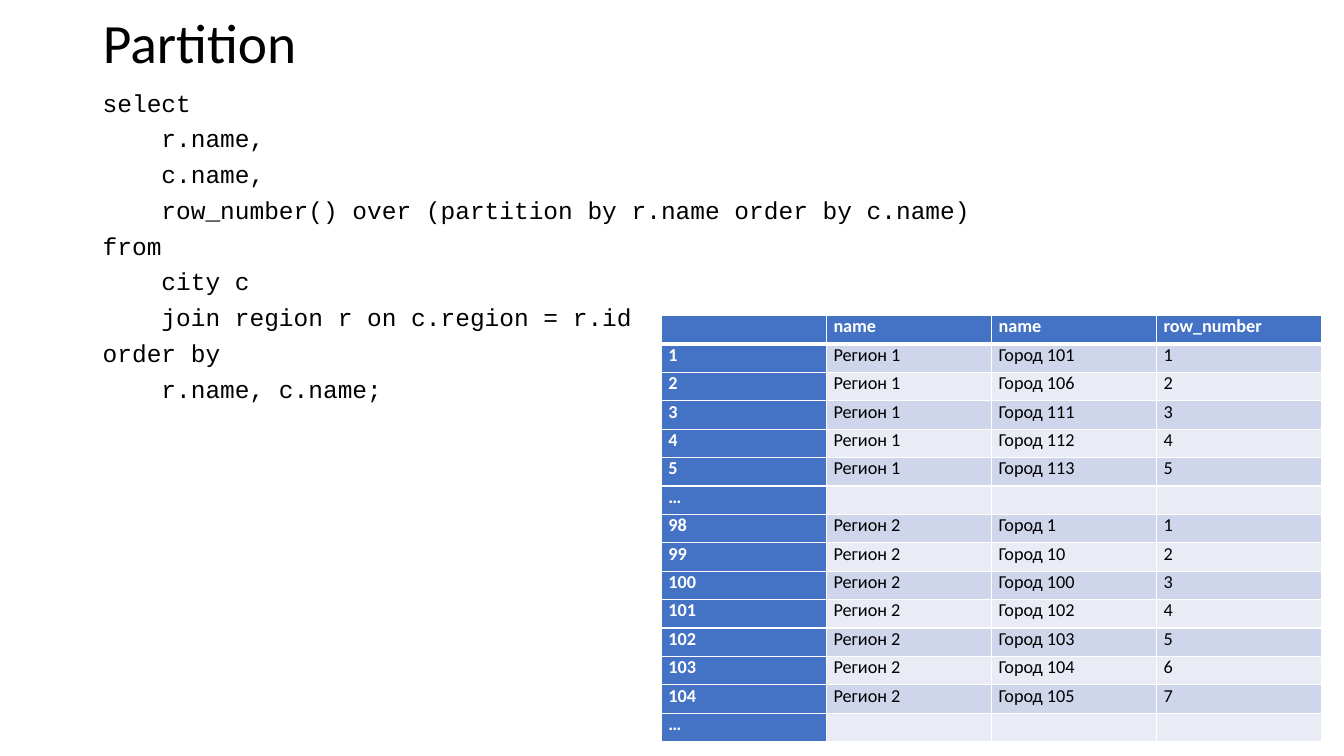
from dataclasses import dataclass

from lxml.etree import SubElement
from pptx import Presentation
from pptx.dml.color import RGBColor
from pptx.enum.text import MSO_ANCHOR, MSO_AUTO_SIZE, PP_ALIGN
from pptx.oxml.ns import qn
from pptx.util import Inches, Pt


@dataclass(frozen=True)
class Theme:
    """Hold the colours, fonts and type sizes of the slide."""

    ink: RGBColor = RGBColor.from_string("000000")
    paper: RGBColor = RGBColor.from_string("FFFFFF")
    accent: RGBColor = RGBColor.from_string("4472C4")
    odd_band: RGBColor = RGBColor.from_string("CFD5EA")
    even_band: RGBColor = RGBColor.from_string("E9EBF5")
    text_font: str = "Calibri"
    code_font: str = "Courier New"
    title_size: float = 39.6
    code_size: float = 17.5
    table_size: float = 13


QUERY = """select
    r.name,
    c.name,
    row_number() over (partition by r.name order by c.name)
from
    city c
    join region r on c.region = r.id
order by
    r.name, c.name;"""

REGIONS = [
    ("Регион 1", 1, [101, 106, 111, 112, 113]),
    ("Регион 2", 98, [1, 10, 100, 102, 103, 104, 105]),
]


def result_rows():
    """Return the query result, each region closed by an ellipsis row."""
    rows = [("", "name", "name", "row_number")]
    for region, first, cities in REGIONS:
        for place, city in enumerate(cities):
            rows.append((str(first + place), region, f"Город {city}", str(place + 1)))
        rows.append(("…", "", "", ""))
    return rows


class SlideBuilder:
    """Draw themed elements on the current slide."""

    def __init__(self, page, theme):
        self.page = page
        self.theme = theme

    def add_span(self, para, text, size, font, color, bold=False):
        """Add one formatted run to a paragraph."""
        span = para.add_run()
        span.text = text
        span.font.size = Pt(size)
        span.font.name = font
        span.font.color.rgb = color
        span.font.bold = bold

    def title(self, text, left, top, width, height):
        """Place and fill the title placeholder."""
        box = self.page.shapes.title
        box.left, box.top = Inches(left), Inches(top)
        box.width, box.height = Inches(width), Inches(height)
        frame = box.text_frame
        frame.auto_size = MSO_AUTO_SIZE.NONE
        frame.vertical_anchor = MSO_ANCHOR.MIDDLE
        para = frame.paragraphs[0]
        para.alignment = PP_ALIGN.LEFT
        para.line_spacing = 0.9
        self.add_span(para, text, self.theme.title_size, self.theme.text_font, self.theme.ink)

    def code(self, source, left, top, width, height):
        """Add a code listing with one paragraph per line."""
        box = self.page.shapes.add_textbox(
            Inches(left), Inches(top), Inches(width), Inches(height))
        frame = box.text_frame
        frame.word_wrap = True
        for index, line in enumerate(source.splitlines()):
            para = frame.add_paragraph() if index else frame.paragraphs[0]
            para.line_spacing = 0.74
            if index:
                para.space_before = Pt(10)
            self.add_span(para, line, self.theme.code_size, self.theme.code_font, self.theme.ink)

    def borders(self, cell, widths):
        """Give a cell solid borders, with widths in points by side."""
        properties = cell._tc.get_or_add_tcPr()
        for place, (side, width) in enumerate(widths.items()):
            line = SubElement(properties, qn(f"a:ln{side}"), w=str(Pt(width)))
            fill = SubElement(line, qn("a:solidFill"))
            SubElement(fill, qn("a:srgbClr"), val=str(self.theme.paper))
            properties.insert(place, line)

    def cell(self, cell, text, row, column):
        """Fill one table cell according to its row and column."""
        theme = self.theme
        heading = row == 0 or column == 0
        band = theme.odd_band if row % 2 else theme.even_band
        cell.fill.solid()
        cell.fill.fore_color.rgb = theme.accent if heading else band
        cell.margin_left = cell.margin_right = Inches(0.07)
        cell.margin_top = cell.margin_bottom = 0
        top, bottom = 3 if row == 1 else 1, 3 if row == 0 else 1
        self.borders(cell, {"L": 1, "R": 1, "T": top, "B": bottom})
        para = cell.text_frame.paragraphs[0]
        if text:
            color = theme.paper if heading else theme.ink
            self.add_span(para, text, theme.table_size, theme.text_font, color, heading)
        else:
            SubElement(para._p, qn("a:endParaRPr"), sz=str(int(theme.table_size * 100)))

    def table(self, rows, left, top, width, height):
        """Add a banded table with a heading row and column."""
        table = self.page.shapes.add_table(
            len(rows), len(rows[0]),
            Inches(left), Inches(top), Inches(width), Inches(height)).table
        table.first_col = True
        for row, values in enumerate(rows):
            for column, text in enumerate(values):
                self.cell(table.cell(row, column), text, row, column)


def main():
    """Build and save the slide."""
    deck = Presentation()
    deck.slide_width, deck.slide_height = Inches(13.33), Inches(7.5)
    page = deck.slides.add_slide(deck.slide_layouts.get_by_name("Title Only"))
    builder = SlideBuilder(page, Theme())
    builder.title("Partition", 0.92, 0.14, 11.5, 0.63)
    builder.code(QUERY, 0.92, 0.89, 10.08, 3.27)
    builder.table(result_rows(), 6.56, 3.13, 6.55, 4.23)
    deck.save("out.pptx")


if __name__ == "__main__":
    main()
